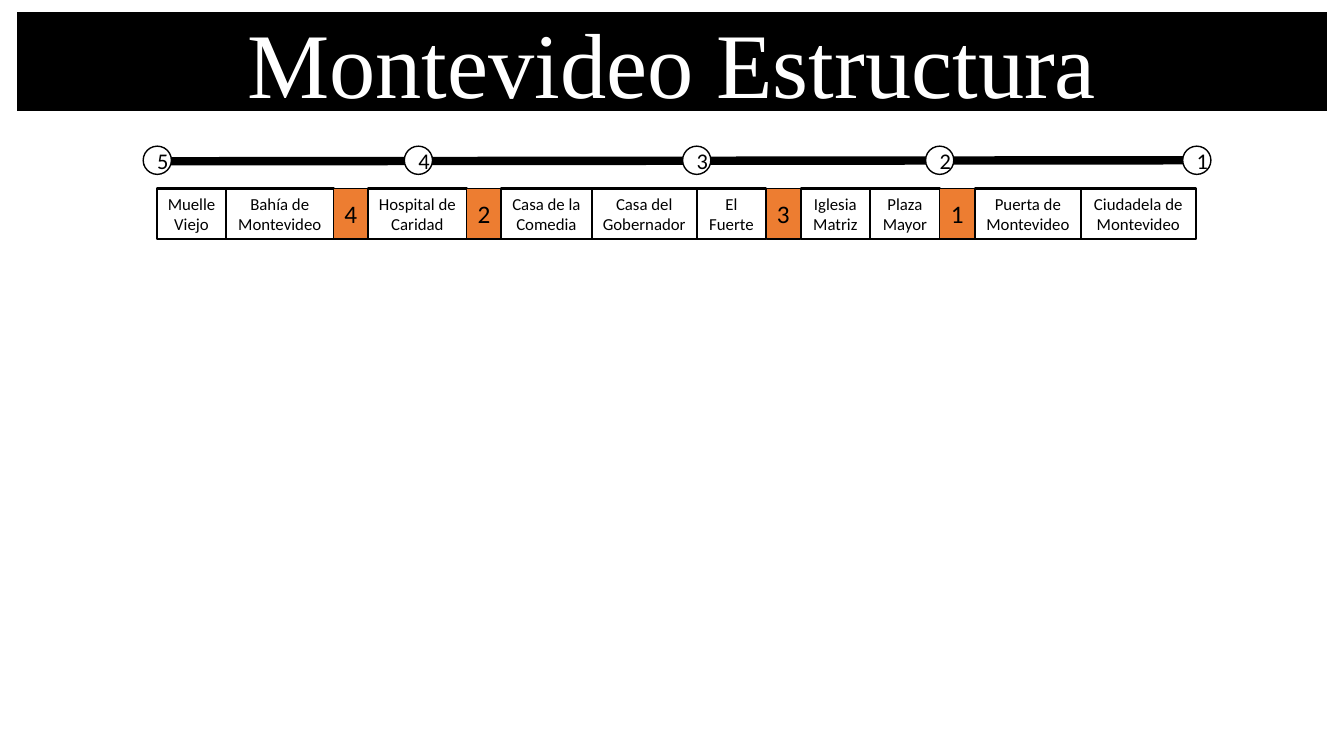
from lxml import etree
from pptx import Presentation, util as u
from pptx.dml.color import RGBColor
from pptx.enum import shapes, text
from pptx.oxml.ns import qn

TITLE = "Montevideo Estructura"
PLACES = [
    ("Muelle Viejo", 1.56), ("Bahía de Montevideo", 2.24), ("4", 3.31),
    ("Hospital de Caridad", 3.65), ("2", 4.63), ("Casa de la Comedia", 4.97),
    ("Casa del Gobernador", 5.87), ("El Fuerte", 6.91), ("3", 7.6),
    ("Iglesia Matriz", 7.94), ("Plaza Mayor", 8.63), ("1", 9.32),
    ("Puerta de Montevideo", 9.67), ("Ciudadela de Montevideo", 10.72),
]
ROW_END = 11.86
STOPS = [("5", 1.56), ("4", 4.15), ("3", 6.91), ("2", 9.32), ("1", 11.87)]
ROW_TOP, ROW_HEIGHT = 1.87, 0.5
TRACK_Y, STOP_SIZE = 1.59, 0.28

BLACK = RGBColor(0x00, 0x00, 0x00)
WHITE = RGBColor(0xFF, 0xFF, 0xFF)
ORANGE = RGBColor(0xED, 0x7D, 0x31)


def write(frame, words, font_name, size, color):
    frame.text = words
    frame.word_wrap = True
    paragraph = frame.paragraphs[0]
    paragraph.alignment = text.PP_ALIGN.CENTER
    font = paragraph.runs[0].font
    font.name, font.size, font.color.rgb = font_name, u.Pt(size), color


def add_part(group, kind, box, words, size, fill, line_width):
    part = group.shapes.add_shape(kind, *map(u.Inches, box))
    part.shadow.inherit = False
    part.fill.solid()
    part.fill.fore_color.rgb = fill
    part.line.color.rgb = BLACK
    part.line.width = u.Pt(line_width)
    write(part.text_frame, words, "Calibri", size, BLACK)
    return part


def add_banner(slide):
    banner = slide.shapes.title
    banner.left, banner.top = u.Inches(0.17), u.Inches(0.12)
    banner.width, banner.height = u.Inches(12.99), u.Inches(0.98)
    outline = etree.SubElement(banner._element.spPr, qn("a:prstGeom"), prst="roundRect")
    etree.SubElement(outline, qn("a:avLst"))
    banner.fill.solid()
    banner.fill.fore_color.rgb = BLACK
    write(banner.text_frame, TITLE, "Times New Roman", 66, WHITE)
    banner.text_frame.auto_size = text.MSO_AUTO_SIZE.NONE
    banner.text_frame.vertical_anchor = text.MSO_ANCHOR.MIDDLE


def add_track(group):
    track = group.shapes.add_connector(
        shapes.MSO_CONNECTOR.STRAIGHT,
        *map(u.Inches, (1.42, TRACK_Y + 0.01, 12, TRACK_Y)))
    track.line.color.rgb = BLACK
    track.line.width = u.Pt(6)
    etree.SubElement(track._element.spPr, qn("a:effectLst"))
    for number, center in STOPS:
        box = (center - STOP_SIZE / 2, TRACK_Y - STOP_SIZE / 2, STOP_SIZE, STOP_SIZE)
        add_part(group, shapes.MSO_SHAPE.OVAL, box, number, 16, WHITE, 1)


def add_places(group):
    ends = [left for _, left in PLACES[1:]] + [ROW_END]
    for (name, left), right in zip(PLACES, ends):
        box = (left, ROW_TOP, right - left, ROW_HEIGHT)
        if name.isdigit():
            add_part(group, shapes.MSO_SHAPE.RECTANGLE, box, name, 18, ORANGE, 1)
        else:
            place = add_part(group, shapes.MSO_SHAPE.RECTANGLE, box, name, 12, WHITE, 1.5)
            place.text_frame.vertical_anchor = text.MSO_ANCHOR.TOP
            place.text_frame.auto_size = text.MSO_AUTO_SIZE.SHAPE_TO_FIT_TEXT


def main():
    deck = Presentation()
    deck.slide_width, deck.slide_height = u.Inches(13.33), u.Inches(7.5)
    slide = deck.slides.add_slide(deck.slide_layouts[5])
    add_banner(slide)
    street = slide.shapes.add_group_shape()
    add_track(street)
    add_places(street)
    deck.save("out.pptx")


if __name__ == "__main__":
    main()
